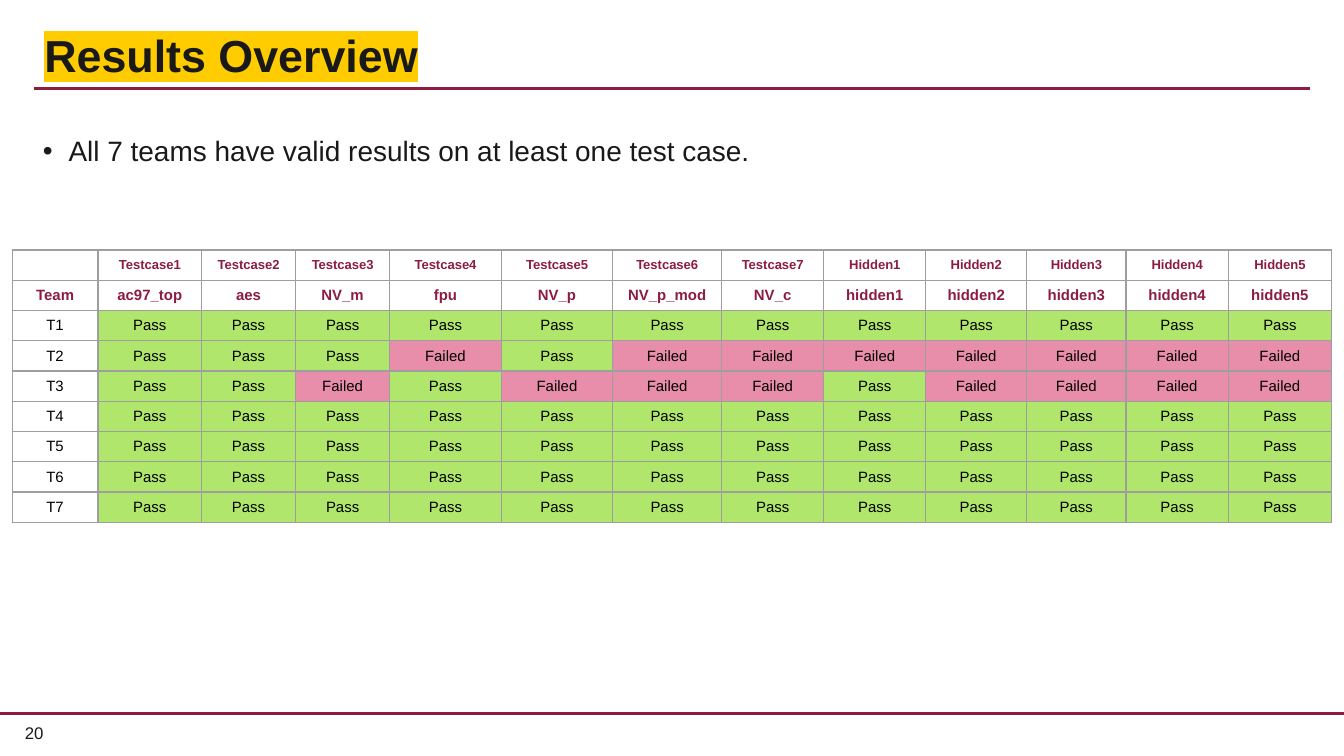
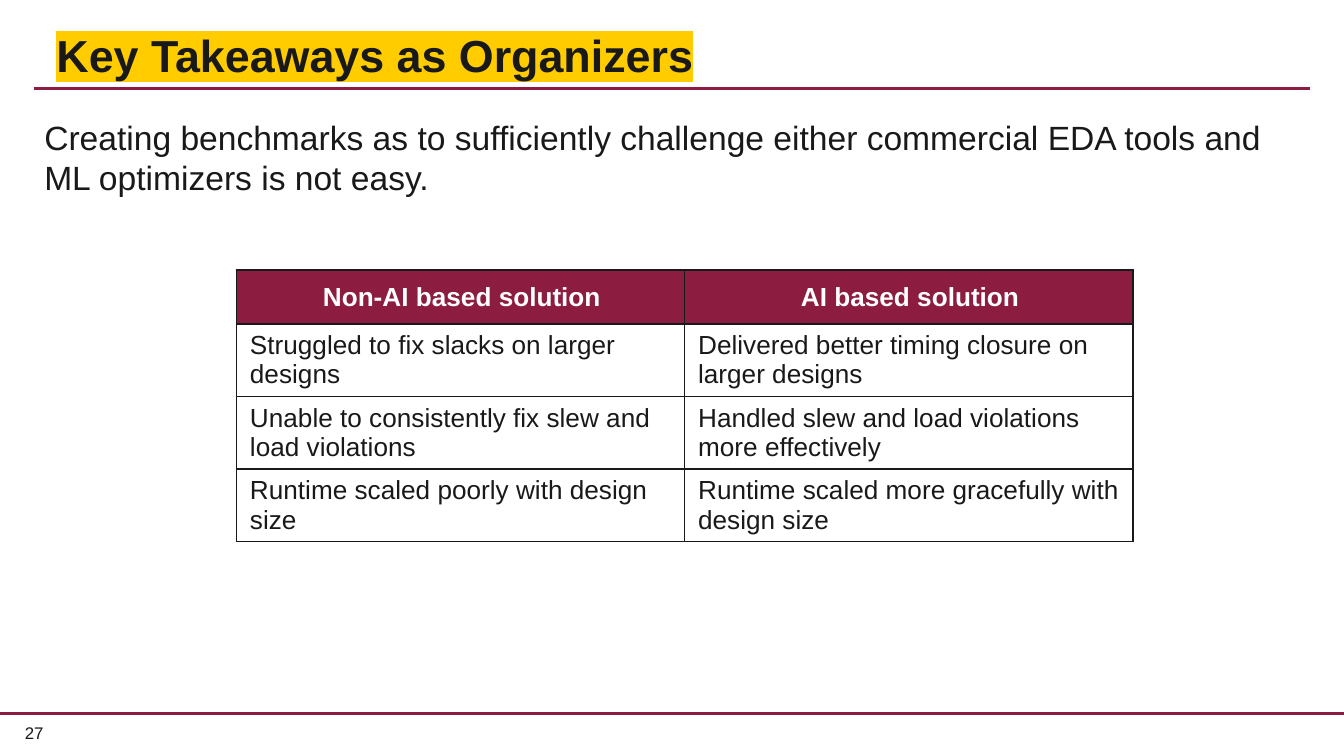
from lxml.etree import SubElement
from pptx import Presentation
from pptx.dml.color import RGBColor
from pptx.enum.shapes import MSO_CONNECTOR as Connector
from pptx.enum.text import MSO_ANCHOR as Anchor, PP_ALIGN as Align
from pptx.oxml.ns import qn
from pptx.util import Inches, Pt

COLORS = {
    "maroon": "8C1D40",
    "gold": "FFCC00",
    "ink": "191919",
    "black": "000000",
    "white": "FFFFFF",
    "grid": "9E9E9E",
    "pass": "B0E66B",
    "failed": "E88EAA",
}
FONT = "Arial"

TESTCASES = {
    **dict(zip(
        [f"Testcase{number}" for number in range(1, 8)],
        ["ac97_top", "aes", "NV_m", "fpu", "NV_p", "NV_p_mod", "NV_c"],
    )),
    **{f"Hidden{number}": f"hidden{number}" for number in range(1, 6)},
}
TEAMS = [f"T{number}" for number in range(1, 8)]
FAILED_COLUMNS = {"T2": {4, 6, 7, 8, 9, 10, 11, 12}, "T3": {3, 5, 6, 7, 9, 10, 11, 12}}
RESULT_WIDTHS = [0.64, 0.77, 0.7, 0.7, 0.83, 0.83, 0.81, 0.76, 0.76, 0.75, 0.74, 0.76, 0.77]

SOLUTIONS = [
    ("Non-AI based solution", "AI based solution"),
    ("Struggled to fix slacks on larger designs",
     "Delivered better timing closure on larger designs"),
    ("Unable to consistently fix slew and load violations",
     "Handled slew and load violations more effectively"),
    ("Runtime scaled poorly with design size",
     "Runtime scaled more gracefully with design size"),
]


def rgb(name):
    return RGBColor.from_string(COLORS[name])


def set_margins(holder, margins):
    """Set left, top, right and bottom margins of a text frame or a cell."""
    (holder.margin_left, holder.margin_top,
     holder.margin_right, holder.margin_bottom) = map(Inches, margins)


def write(frame, text, size, color="ink", bold=False, align=Align.LEFT, spacing=None,
          highlight=None, bullet=None, indent=0, hanging=0):
    """Fill the first paragraph of a text frame; lengths are in inches."""
    para = frame.paragraphs[0]
    para.alignment = align
    if spacing:
        para.line_spacing = spacing
    properties = para._p.get_or_add_pPr()
    if indent:
        properties.set("marL", str(Inches(indent)))
        properties.set("indent", str(-Inches(hanging)))
    if bullet:
        SubElement(properties, qn("a:buFont"), typeface=FONT)
        SubElement(properties, qn("a:buChar"), char=bullet)
    if not text:
        SubElement(para._p, qn("a:endParaRPr"), sz=str(size * 100))
        return
    span = para.add_run()
    span.text = text
    span.font.size = Pt(size)
    span.font.bold = bold
    span.font.color.rgb = rgb(color)
    if highlight:
        mark = SubElement(span._r.get_or_add_rPr(), qn("a:highlight"))
        SubElement(mark, qn("a:srgbClr"), val=COLORS[highlight])
    span.font.name = FONT


def add_text(page, text, left, top, width, height, margins=(0, 0, 0, 0),
             anchor=Anchor.TOP, **text_format):
    box = page.shapes.add_textbox(Inches(left), Inches(top), Inches(width), Inches(height))
    frame = box.text_frame
    frame.word_wrap = True
    frame.vertical_anchor = anchor
    set_margins(frame, margins)
    write(frame, text, **text_format)


def add_rule(page, left, top, width):
    rule = page.shapes.add_connector(
        Connector.STRAIGHT, Inches(left), Inches(top), Inches(left + width), Inches(top))
    rule.line.color.rgb = rgb("maroon")
    rule.line.width = Pt(1.75)
    SubElement(rule._element.spPr, qn("a:effectLst"))


def add_body(page, text, **text_format):
    add_text(page, text, 0.25, 0.83, 9.5, 3.75, margins=(0.07, 0.04, 0.07, 0.04), **text_format)


def add_page(deck, title, number, title_left=0.25):
    """Add a slide with the shared title, rules and slide number."""
    page = deck.slides.add_slide(deck.slide_layouts[6])
    add_rule(page, 0.25, 0.66, 9.5)
    add_text(page, str(number), -0.34, 5.38, 1.19, 0.18, size=9, align=Align.CENTER)
    add_rule(page, 0, 5.31, 10)
    add_text(page, title, title_left, 0.19, 9.5, 0.48, margins=(0.08, 0.04, 0.08, 0.04),
             anchor=Anchor.MIDDLE, size=24, bold=True, spacing=0.88, highlight="gold")
    return page


def add_grid(page, left, top, widths, heights):
    """Add a table without a banded style."""
    frame = page.shapes.add_table(
        len(heights), len(widths), Inches(left), Inches(top),
        Inches(sum(widths)), Inches(sum(heights)))
    table = frame.table
    table.first_row = table.horz_banding = False
    for column, width in zip(table.columns, widths):
        column.width = Inches(width)
    for row, height in zip(table.rows, heights):
        row.height = Inches(height)
    return table


def fill_cell(cell, text, border, border_width, margins, fill=None, **text_format):
    cell.vertical_anchor = Anchor.MIDDLE
    set_margins(cell, margins)
    properties = cell._tc.get_or_add_tcPr()
    for side in ("lnL", "lnR", "lnT", "lnB"):
        line = SubElement(properties, qn(f"a:{side}"), w=str(Pt(border_width)))
        solid = SubElement(line, qn("a:solidFill"))
        SubElement(solid, qn("a:srgbClr"), val=COLORS[border])
    if fill:
        cell.fill.solid()
        cell.fill.fore_color.rgb = rgb(fill)
    else:
        cell.fill.background()
    write(cell.text_frame, text, **text_format)


def add_results_table(page):
    rows = [["", *TESTCASES], ["Team", *TESTCASES.values()]]
    for team in TEAMS:
        failed = FAILED_COLUMNS.get(team, set())
        rows.append([team] + ["Failed" if column in failed else "Pass"
                              for column in range(1, len(TESTCASES) + 1)])
    table = add_grid(page, 0.09, 1.86, RESULT_WIDTHS, [2.03 / len(rows)] * len(rows))
    for row, texts in enumerate(rows):
        heading = row < 2
        for column, text in enumerate(texts):
            fill_cell(table.cell(row, column), text, "grid", 0.75, (0.02, 0.02, 0.02, 0.02),
                      fill=text.lower() if text in ("Pass", "Failed") else None,
                      size=7 if row == 0 else 8, bold=heading,
                      color="maroon" if heading else "black", align=Align.CENTER)


def add_solutions_table(page):
    table = add_grid(page, 1.76, 2.01, [6.67 / 2] * 2, [0.4] + [0.54] * 3)
    heading_format = dict(fill="maroon", color="white", bold=True, align=Align.CENTER)
    for row, texts in enumerate(SOLUTIONS):
        for column, text in enumerate(texts):
            fill_cell(table.cell(row, column), text, "ink", 1, (0.1, 0.03, 0.08, 0.03),
                      size=14, **(heading_format if row == 0 else {}))


def main():
    deck = Presentation()
    deck.slide_width = Inches(10)
    deck.slide_height = deck.slide_width * 9 // 16

    results = add_page(deck, "Results Overview", 20)
    add_body(results, "All 7 teams have valid results on at least one test case.",
             size=15, spacing=1.5, bullet="•", indent=0.19, hanging=0.19)
    add_results_table(results)

    takeaways = add_page(deck, "Key Takeaways as Organizers", 27, title_left=0.34)
    add_body(takeaways, "Creating benchmarks as to sufficiently challenge either commercial "
             "EDA tools and ML optimizers is not easy.", size=18, indent=0.01)
    add_solutions_table(takeaways)

    deck.save("out.pptx")


if __name__ == "__main__":
    main()
